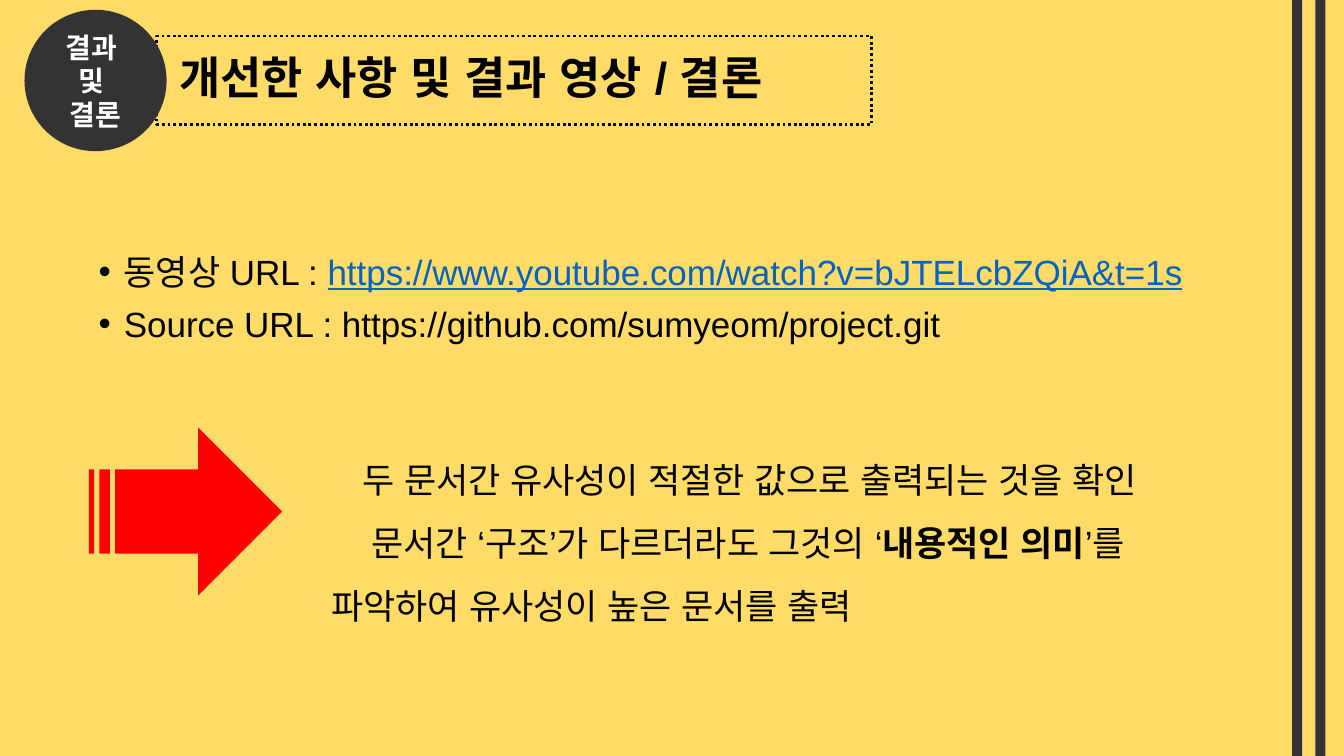
"""Build the results and conclusion slide."""
import pptx
import pptx.dml.color
import pptx.enum.dml
import pptx.enum.shapes
import pptx.enum.text
import pptx.oxml.ns
import pptx.util
import lxml.etree

Pt = pptx.util.Pt
SHAPES = pptx.enum.shapes.MSO_SHAPE
ALIGN = pptx.enum.text.PP_ALIGN
ANCHOR = pptx.enum.text.MSO_ANCHOR
HANGUL_FONT = "Noto Sans CJK KR"
BLACK, DARK, WHITE = "000000", "333333", "FFFFFF"


def set_color(target, color):
    if hasattr(target, "solid"):
        target.solid()
        target = target.fore_color
    else:
        target = target.color
    target.rgb = pptx.dml.color.RGBColor.from_string(color)


def write(shape, paragraphs, paragraph_format, size, font_name, anchor=ANCHOR.TOP, bullet=None):
    frame = shape.text_frame
    frame.word_wrap = True
    frame.vertical_anchor = anchor
    for index, (indent, runs) in enumerate(paragraphs):
        paragraph = frame.paragraphs[0] if index == 0 else frame.add_paragraph()
        for name, value in paragraph_format.items():
            if name != "space_before" or index > 0:
                setattr(paragraph, name, value)
        properties = paragraph._p.get_or_add_pPr()
        if indent:
            properties.set("indent", str(Pt(indent)))
        if bullet:
            properties.set("marL", str(Pt(-indent)))
            bullet_font = lxml.etree.SubElement(properties, pptx.oxml.ns.qn("a:buFont"))
            bullet_font.set("typeface", "Arial")
            bullet_character = lxml.etree.SubElement(properties, pptx.oxml.ns.qn("a:buChar"))
            bullet_character.set("char", bullet)
        for text, color, font_format in runs:
            run = paragraph.add_run()
            run.text = text
            for name, value in {"size": Pt(size), "name": font_name, **font_format}.items():
                setattr(run.font, name, value)
            set_color(run.font, color)
            east_asian = lxml.etree.SubElement(run.font._element, pptx.oxml.ns.qn("a:ea"))
            east_asian.set("typeface", "Arial")


presentation = pptx.Presentation()
presentation.slide_width, presentation.slide_height = Pt(960), Pt(540)
slide = presentation.slides.add_slide(presentation.slide_layouts[6])
set_color(slide.background.fill, "FFDB67")

title = slide.shapes.add_shape(SHAPES.RECTANGLE, Pt(112), Pt(25.7), Pt(510.5), Pt(63.4))
title.shadow.inherit = False
title.fill.background()
set_color(title.line, BLACK)
title.line.width = Pt(2)
title.line.dash_style = pptx.enum.dml.MSO_LINE.ROUND_DOT
bold = {"bold": True}
write(title, [(9, [("개선한 사항 및 결과 영상 / 결론", BLACK, bold)])],
      {"alignment": ALIGN.LEFT, "line_spacing": 0.9}, 32, "Arial", ANCHOR.MIDDLE)

badge_lines = [(0, [(text, WHITE, bold)]) for text in ("결과 ", "및 ", "결론")]
for kind, left, top, width, height, fill, lines in [
    (SHAPES.OVAL, 17.5, 7, 101.5, 101, DARK, badge_lines),
    (SHAPES.RECTANGLE, 923, 0, 7.2, 540, DARK, []),
    (SHAPES.RECTANGLE, 939.6, 0, 7.2, 540, DARK, []),
    (SHAPES.STRIPED_RIGHT_ARROW, 63.4, 305.3, 138.2, 120.2, "FF0000", []),
]:
    shape = slide.shapes.add_shape(kind, Pt(left), Pt(top), Pt(width), Pt(height))
    shape.shadow.inherit = False
    set_color(shape.fill, fill)
    shape.line.fill.background()
    write(shape, lines, {"alignment": ALIGN.CENTER}, 20, HANGUL_FONT, ANCHOR.MIDDLE)

links = slide.shapes.add_textbox(Pt(63.4), Pt(178.6), Pt(828), Pt(91.4))
write(links, [
    (-18, [("동영상 URL : ", BLACK, {}),
           ("https://www.youtube.com/watch?v=bJTELcbZQiA&t=1s", "0563C1", {"underline": True})]),
    (-18, [("Source URL : https://github.com/sumyeom/project.git", BLACK, {})]),
], {"line_spacing": 0.9, "space_before": Pt(10)}, 25, "Arial", bullet="•")

conclusion = slide.shapes.add_textbox(Pt(229.7), Pt(308.9), Pt(661.7), Pt(143.3))
write(conclusion, [
    (22.5, [("두 문서간 유사성이 적절한 값으로 출력되는 것을 확인", BLACK, {})]),
    (28.5, [("문서간 ‘구조’가 다르더라도 그것의 ‘", BLACK, {}),
            ("내용적인 의미", BLACK, bold),
            ("’를 파악하여 유사성이 높은 문서를 출력", BLACK, {})]),
], {"line_spacing": 1.5}, 25, HANGUL_FONT)

presentation.save("out.pptx")
